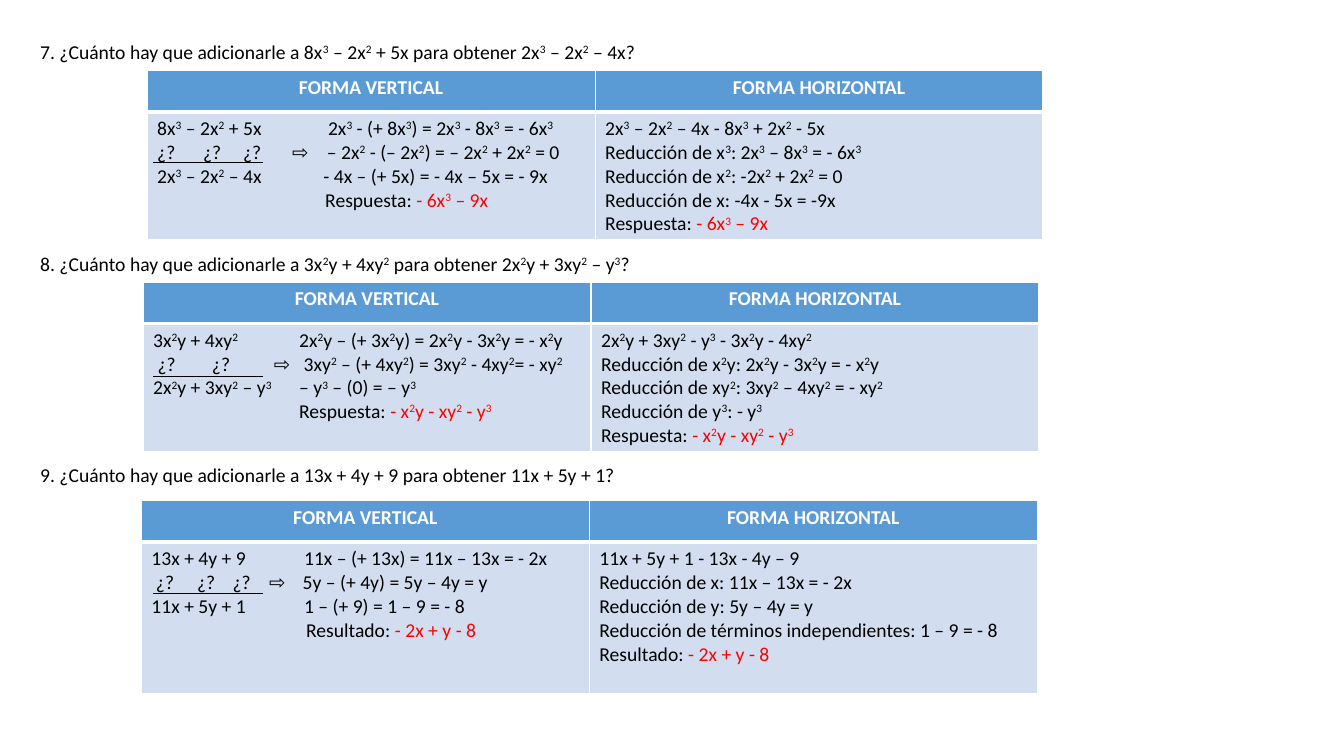
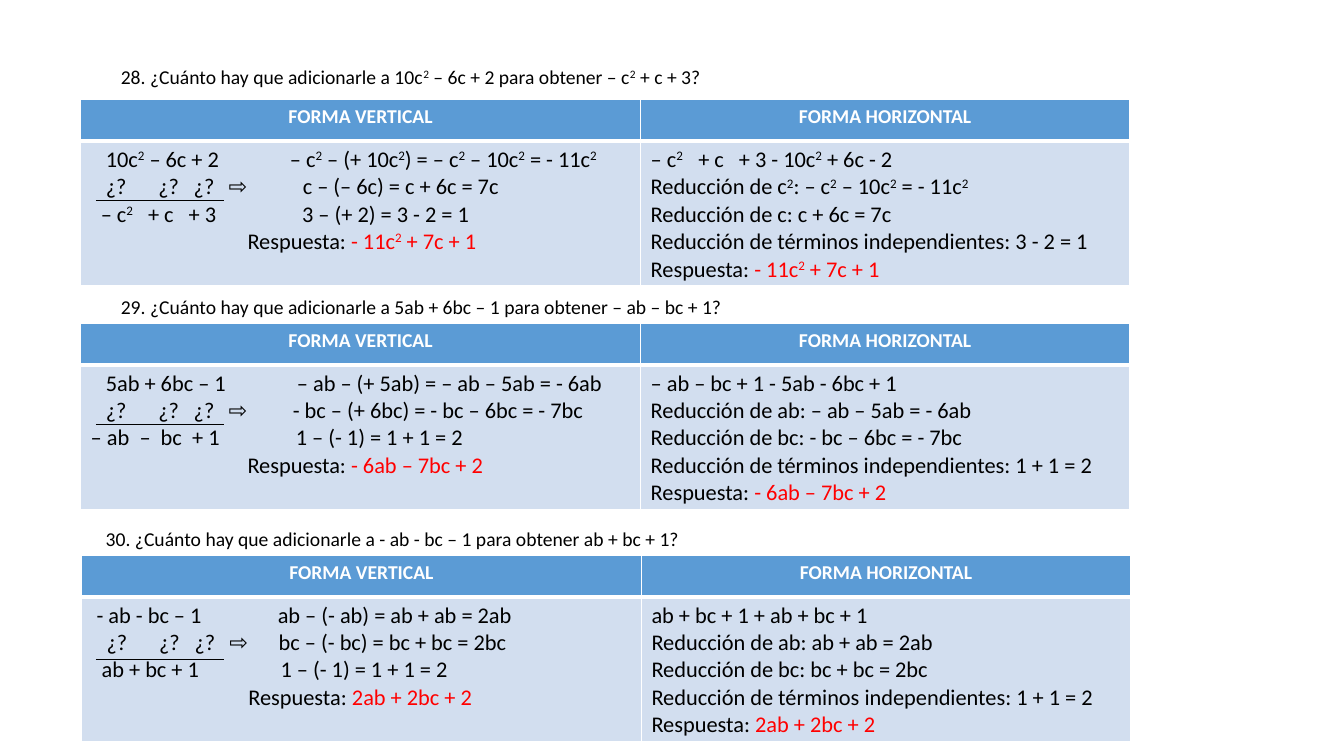
import pptx
import pptx.dml.color
import pptx.enum.shapes
import pptx.enum.text
import pptx.oxml.ns
import pptx.util
from dataclasses import dataclass
from lxml import etree

Pt = pptx.util.Pt
FONT = "Calibri"
BLUE, PALE, WHITE, BLACK, RED = "5B9BD5", "D2DEEF", "FFFFFF", "000000", "FF0000"
HEADS = ("FORMA VERTICAL", "FORMA HORIZONTAL")
HEAD_ROW = 29.5
ASKS = [(10.8, "¿?"), (48.3, "¿?"), (73.6, "¿?"), (98.5, "⇨")]


@dataclass
class Page:
    size: int      # text size in the table body
    cols: tuple    # column widths
    rule: tuple    # left and right end of the sum lines
    tasks: list


@dataclass
class Task:
    """One exercise; work holds lines of (tab position, text), ^ raises a digit."""
    ask: str
    ask_at: tuple
    grid_at: tuple
    high: float
    rule_y: float
    work: list
    flat: list
    label: str
    label_x: float
    answer: str


PAGES = [
    Page(14, (320, 320), (109.4, 187.9), [
        Task("7. ¿Cuánto hay que adicionarle a 8x^3 – 2x^2 + 5x para obtener 2x^3 – 2x^2 – 4x?",
             (21.6, 25.2), (105.1, 50.4), 121, 115.9,
             [[(0, "8x^3 – 2x^2 + 5x"), (122, "2x^3 - (+ 8x^3) = 2x^3 - 8x^3 = - 6x^3")],
              [(0, "¿?"), (32.7, "¿?"), (61.3, "¿?"), (96.3, "⇨"),
               (121.2, "– 2x^2 - (– 2x^2) = – 2x^2 + 2x^2 = 0")],
              [(0, "2x^3 – 2x^2 – 4x"), (118.7, "- 4x – (+ 5x) = - 4x – 5x = - 9x")]],
             [[(0, "2x^3 – 2x^2 – 4x - 8x^3 + 2x^2 - 5x")],
              [(0, "Reducción de x^3: 2x^3 – 8x^3 = - 6x^3")],
              [(0, "Reducción de x^2: -2x^2 + 2x^2 = 0")],
              [(0, "Reducción de x: -4x - 5x = -9x")]],
             "Respuesta: ", 120, "- 6x^3 – 9x"),
        Task("8. ¿Cuánto hay que adicionarle a 3x^2y + 4xy^2 para obtener 2x^2y + 3xy^2 – y^3?",
             (21.6, 176.6), (102.2, 201.6), 120.2, 268.6,
             [[(0, "3x^2y + 4xy^2"), (104.3, "2x^2y – (+ 3x^2y) = 2x^2y - 3x^2y = - x^2y")],
              [(3.2, "¿?"), (42, "¿?"), (86.3, "⇨"),
               (107.5, "3xy^2 – (+ 4xy^2) = 3xy^2 - 4xy^2= - xy^2")],
              [(0, "2x^2y + 3xy^2 – y^3"), (104.3, "– y^3 – (0) = – y^3")]],
             [[(0, "2x^2y + 3xy^2 - y^3 - 3x^2y - 4xy^2")],
              [(0, "Reducción de x^2y: 2x^2y - 3x^2y = - x^2y")],
              [(0, "Reducción de xy^2: 3xy^2 – 4xy^2 = - xy^2")],
              [(0, "Reducción de y^3: - y^3")]],
             "Respuesta: ", 104.3, "- x^2y - xy^2 - y^3"),
        Task("9. ¿Cuánto hay que adicionarle a 13x + 4y + 9 para obtener 11x + 5y + 1?",
             (21.6, 327.3), (101, 357.8), 137.5, 424.1,
             [[(0, "13x + 4y + 9"), (109, "11x – (+ 13x) = 11x – 13x = - 2x")],
              [(3.2, "¿?"), (32.6, "¿?"), (58, "¿?"), (84, "⇨"),
               (108, "5y – (+ 4y) = 5y – 4y = y")],
              [(0, "11x + 5y + 1"), (109, "1 – (+ 9) = 1 – 9 = - 8")]],
             [[(0, "11x + 5y + 1 - 13x - 4y – 9")],
              [(0, "Reducción de x: 11x – 13x = - 2x")],
              [(0, "Reducción de y: 5y – 4y = y")],
              [(0, "Reducción de términos independientes: 1 – 9 = - 8")]],
             "Resultado: ", 110.5, "- 2x + y - 8"),
    ]),
    Page(16, (400, 349.4), (68.4, 159.8), [
        Task("28. ¿Cuánto hay que adicionarle a 10c^2 – 6c + 2 para obtener – c^2 + c + 3?",
             (79.2, 43), (57.6, 71.3), 132.5, 143.3,
             [[(10.8, "10c^2 – 6c + 2"), (142.3, "– c^2 – (+ 10c^2) = – c^2 – 10c^2 = - 11c^2")],
              ASKS + [(151.5, "c – (– 6c) = c + 6c = 7c")],
              [(7.2, "– c^2"), (41, "+ c"), (70, "+ 3"), (151, "3 – (+ 2) = 3 - 2 = 1")]],
             [[(0, "– c^2"), (34, "+ c"), (63, "+ 3 - 10c^2 + 6c - 2")],
              [(0, "Reducción de c^2: – c^2 – 10c^2 = - 11c^2")],
              [(0, "Reducción de c: c + 6c = 7c")],
              [(0, "Reducción de términos independientes: 3 - 2 = 1")]],
             "Respuesta: ", 112, "- 11c^2 + 7c + 1"),
        Task("29. ¿Cuánto hay que adicionarle a 5ab + 6bc – 1 para obtener – ab – bc + 1?",
             (79.2, 207.3), (57.6, 231.1), 132.5, 303.1,
             [[(10.8, "5ab + 6bc – 1"), (147.3, "– ab – (+ 5ab) = – ab – 5ab = - 6ab")],
              ASKS + [(144.4, "- bc – (+ 6bc) = - bc – 6bc = - 7bc")],
              [(0, "– ab"), (35, "–"), (50, "bc"), (72.5, "+ 1"), (146.5, "1 – (- 1) = 1 + 1 = 2")]],
             [[(0, "– ab – bc + 1 - 5ab - 6bc + 1")],
              [(0, "Reducción de ab: – ab – 5ab = - 6ab")],
              [(0, "Reducción de bc: - bc – 6bc = - 7bc")],
              [(0, "Reducción de términos independientes: 1 + 1 = 2")]],
             "Respuesta: ", 112, "- 6ab – 7bc + 2"),
        Task("30. ¿Cuánto hay que adicionarle a - ab - bc – 1 para obtener ab + bc + 1?",
             (68.4, 373), (58.2, 396.8), 132.5, 470.9,
             [[(3.6, "- ab - bc – 1"), (133, "ab – (- ab) = ab + ab = 2ab")],
              ASKS + [(133.7, "bc – (- bc) = bc + bc = 2bc")],
              [(7.2, "ab + bc + 1"), (135, "1 – (- 1) = 1 + 1 = 2")]],
             [[(0, "ab + bc + 1 + ab + bc + 1")],
              [(0, "Reducción de ab: ab + ab = 2ab")],
              [(0, "Reducción de bc: bc + bc = 2bc")],
              [(0, "Reducción de términos independientes: 1 + 1 = 2")]],
             "Respuesta: ", 112, "2ab + 2bc + 2"),
    ]),
]


def paint(part, ink):
    """Give a fill or line fill one solid colour."""
    part.solid()
    part.fore_color.rgb = pptx.dml.color.RGBColor.from_string(ink)


def node(root, tag, **attrs):
    return etree.SubElement(root, pptx.oxml.ns.qn(tag), attrs)


def add_run(para, text, size, ink, bold=False, high=False):
    run = para.add_run()
    run.text = text
    run.font.name = FONT
    run.font.size = Pt(size)
    run.font.bold = bold
    paint(run.font.fill, ink)
    if high:
        run.font._element.set("baseline", "30000")


def add_math(para, text, size, ink=BLACK):
    """Add runs, raising the digit after each ^."""
    first, *rest = text.split("^")
    if first:
        add_run(para, first, size, ink)
    for part in rest:
        add_run(para, part[0], size, ink, high=True)
        if part[1:]:
            add_run(para, part[1:], size, ink)


def add_line(para, parts, size):
    """Add each text at its own tab position."""
    stops = [x for x, _ in parts if x]
    if stops:
        tabs = node(para._p.get_or_add_pPr(), "a:tabLst")
        for x in stops:
            node(tabs, "a:tab", pos=str(int(Pt(x))), algn="l")
    for x, text in parts:
        add_math(para, ("\t" if x else "") + text, size)


def fill_body(cell, lines, label_x, task, size):
    frame = cell.text_frame
    for i, parts in enumerate(lines + [[(label_x, task.label)]]):
        para = frame.paragraphs[0] if i == 0 else frame.add_paragraph()
        add_line(para, parts, size)
    add_math(para, task.answer, size, RED)


def style_cell(cell, ink, top, low):
    """Set white borders, then the fill."""
    props = cell._tc.get_or_add_tcPr()
    for side, width in zip("LRTB", (1, 1, top, low)):
        line = node(props, "a:ln" + side, w=str(int(Pt(width))))
        node(node(line, "a:solidFill"), "a:srgbClr", val=WHITE)
    paint(cell.fill, ink)


def add_grid(slide, task, page):
    x, y = task.grid_at
    grid = slide.shapes.add_table(2, 2, Pt(x), Pt(y), Pt(sum(page.cols)), Pt(task.high)).table
    grid.rows[0].height = Pt(HEAD_ROW)
    grid.rows[1].height = Pt(task.high - HEAD_ROW)
    sides = ((task.work, task.label_x), (task.flat, 0))
    for col, (lines, label_x) in enumerate(sides):
        grid.columns[col].width = Pt(page.cols[col])
        head, body = grid.cell(0, col), grid.cell(1, col)
        style_cell(head, BLUE, 1, 3)
        style_cell(body, PALE, 3, 1)
        para = head.text_frame.paragraphs[0]
        para.alignment = pptx.enum.text.PP_ALIGN.CENTER
        add_run(para, HEADS[col], 14, WHITE, bold=True)
        fill_body(body, lines, label_x, task, page.size)


def add_ask(slide, task):
    x, y = task.ask_at
    frame = slide.shapes.add_textbox(Pt(x), Pt(y), Pt(480), Pt(25)).text_frame
    frame.word_wrap = True
    add_math(frame.paragraphs[0], task.ask, 14)


def add_rule(slide, ends, y):
    kind = pptx.enum.shapes.MSO_CONNECTOR.STRAIGHT
    rule = slide.shapes.add_connector(kind, Pt(ends[0]), Pt(y), Pt(ends[1]), Pt(y))
    paint(rule.line.fill, BLACK)
    rule.line.width = Pt(0.5)
    node(rule._element.spPr, "a:effectLst")


def main():
    deck = pptx.Presentation()
    deck.slide_width, deck.slide_height = Pt(960), Pt(540)
    for page in PAGES:
        slide = deck.slides.add_slide(deck.slide_layouts[6])
        for task in page.tasks:
            add_ask(slide, task)
            add_grid(slide, task, page)
            add_rule(slide, page.rule, task.rule_y)
    deck.save("out.pptx")


if __name__ == "__main__":
    main()
